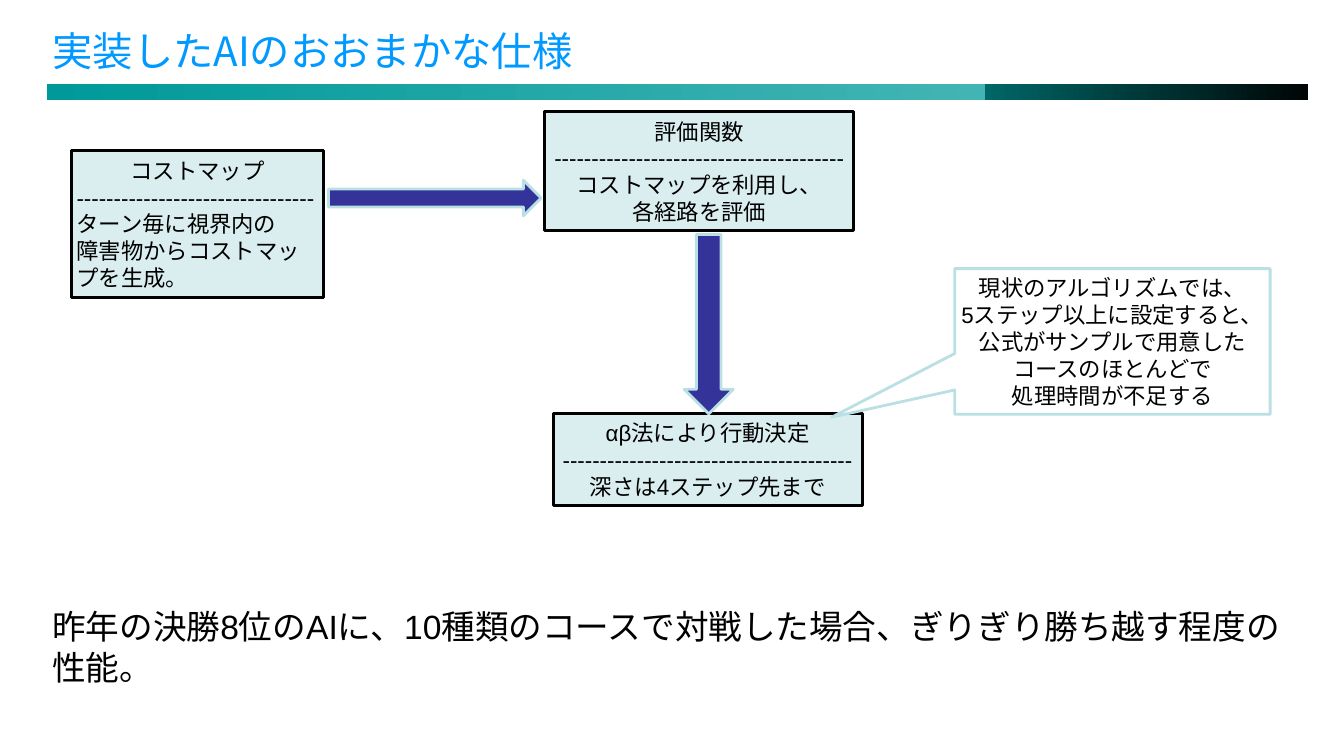
from pptx import Presentation
from pptx.dml.color import RGBColor
from pptx.enum.lang import MSO_LANGUAGE_ID
from pptx.enum.shapes import MSO_SHAPE
from pptx.enum.text import MSO_ANCHOR, PP_ALIGN
from pptx.util import Cm, Pt

JAPANESE = MSO_LANGUAGE_ID.JAPANESE
RECTANGLE = MSO_SHAPE.RECTANGLE
CALLOUT = MSO_SHAPE.RECTANGULAR_CALLOUT
ARROW = MSO_SHAPE.RIGHT_ARROW
TOP, MIDDLE = MSO_ANCHOR.TOP, MSO_ANCHOR.MIDDLE
LEFT, CENTER = PP_ALIGN.LEFT, PP_ALIGN.CENTER

COLORS = {
    "title": "0099FF", "text": "000000", "box": "DAEDEF", "border": "000000",
    "arrow": "333399", "outline": "BBE0E3", "callout": "FFFFFF",
    "teal": "009999", "light teal": "43B4B4",
    "dark teal": "006666", "black": "000606",
}
TITLE_FONT, TEXT_FONT = "Noto Sans CJK JP", "Arial"
INSET = Cm(0.13)

TITLE = "実装したAIのおおまかな仕様"
RESULT = "昨年の決勝8位のAIに、10種類のコースで対戦した場合、ぎりぎり勝ち越す程度の性能。"

# Positions are left, top, width, height in centimetres.
TITLE_AT = (1.19, 0.48, 31.75, 1.6)
RESULT_AT = (1.19, 15.15, 31.78, 2.35)
BARS = [
    ((1.18, 2.11, 23.65, 0.4), "teal", "light teal"),
    ((24.83, 2.11, 8.13, 0.4), "dark teal", "black"),
]
# Position, heading, dash count, details, alignment below the heading
STEPS = [
    ((1.8, 3.8, 6.36, 3.69), "コストマップ", 32,
     ["ターン毎に視界内の", "障害物からコストマップを生成。"], LEFT),
    ((13.94, 10.42, 7.79, 2.32), "αβ法により行動決定", 39,
     ["深さは4ステップ先まで"], CENTER),
    ((13.73, 2.82, 7.79, 3), "評価関数", 39,
     ["コストマップを利用し、", "各経路を評価"], CENTER),
]
# Position before turning, rotation in degrees
ARROWS = [((8.28, 4.54, 5.36, 0.9), 0), ((15.6, 7.55, 4.52, 1.24), 90)]
LIMIT_AT = (24.06, 6.77, 7.95, 3.67)
LIMIT_POINTER = (-0.89, 0.52)
LIMIT = [
    "現状のアルゴリズムでは、",
    "5ステップ以上に設定すると、公式がサンプルで用意したコースのほとんどで",
    "処理時間が不足する",
]


def color(name):
    """Return the named colour."""
    return RGBColor.from_string(COLORS[name])


def write(frame, lines, size, font=TEXT_FONT, ink="text", anchor=MIDDLE):
    """Fill a text frame with (text, alignment) paragraphs."""
    frame.word_wrap = True
    frame.vertical_anchor = anchor
    frame.margin_left = frame.margin_right = INSET
    frame.margin_top = frame.margin_bottom = INSET
    for index, (text, alignment) in enumerate(lines):
        paragraph = frame.add_paragraph() if index else frame.paragraphs[0]
        paragraph.alignment = alignment
        run = paragraph.add_run()
        run.text = text
        run.font.name = font
        run.font.size = Pt(size)
        run.font.color.rgb = color(ink)
        run.font.language_id = JAPANESE


def add_block(slide, preset, position, fill, line):
    """Add a filled, outlined preset shape without a shadow."""
    block = slide.shapes.add_shape(preset, *map(Cm, position))
    block.shadow.inherit = False
    block.fill.solid()
    block.fill.fore_color.rgb = color(fill)
    block.line.color.rgb = color(line)
    block.line.width = Pt(2)
    return block


def add_bar(slide, position, start, end):
    """Add a bar that fades from left to right."""
    bar = slide.shapes.add_shape(RECTANGLE, *map(Cm, position))
    bar.shadow.inherit = False
    bar.line.fill.background()
    bar.fill.gradient()
    bar.fill.gradient_angle = 0
    for stop, name in zip(bar.fill.gradient_stops, (start, end)):
        stop.color.rgb = color(name)


presentation = Presentation()
presentation.slide_width, presentation.slide_height = Cm(33.87), Cm(19.05)
slide = presentation.slides.add_slide(presentation.slide_layouts[5])

for bar in BARS:
    add_bar(slide, *bar)

title = slide.shapes.title
title.left, title.top, title.width, title.height = map(Cm, TITLE_AT)
write(title.text_frame, [(TITLE, LEFT)], 28.8, TITLE_FONT, "title")

result = slide.shapes.add_textbox(*map(Cm, RESULT_AT))
write(result.text_frame, [(RESULT, LEFT)], 24, anchor=TOP)

for position, heading, dashes, details, alignment in STEPS:
    step = add_block(slide, RECTANGLE, position, "box", "border")
    below = [(text, alignment) for text in ["-" * dashes, *details]]
    write(step.text_frame, [(heading, CENTER), *below], 16)

for position, rotation in ARROWS:
    arrow = add_block(slide, ARROW, position, "arrow", "outline")
    arrow.rotation = rotation

limit = add_block(slide, CALLOUT, LIMIT_AT, "callout", "outline")
limit.adjustments[0], limit.adjustments[1] = LIMIT_POINTER
write(limit.text_frame, [(text, CENTER) for text in LIMIT], 16)

presentation.save("out.pptx")
